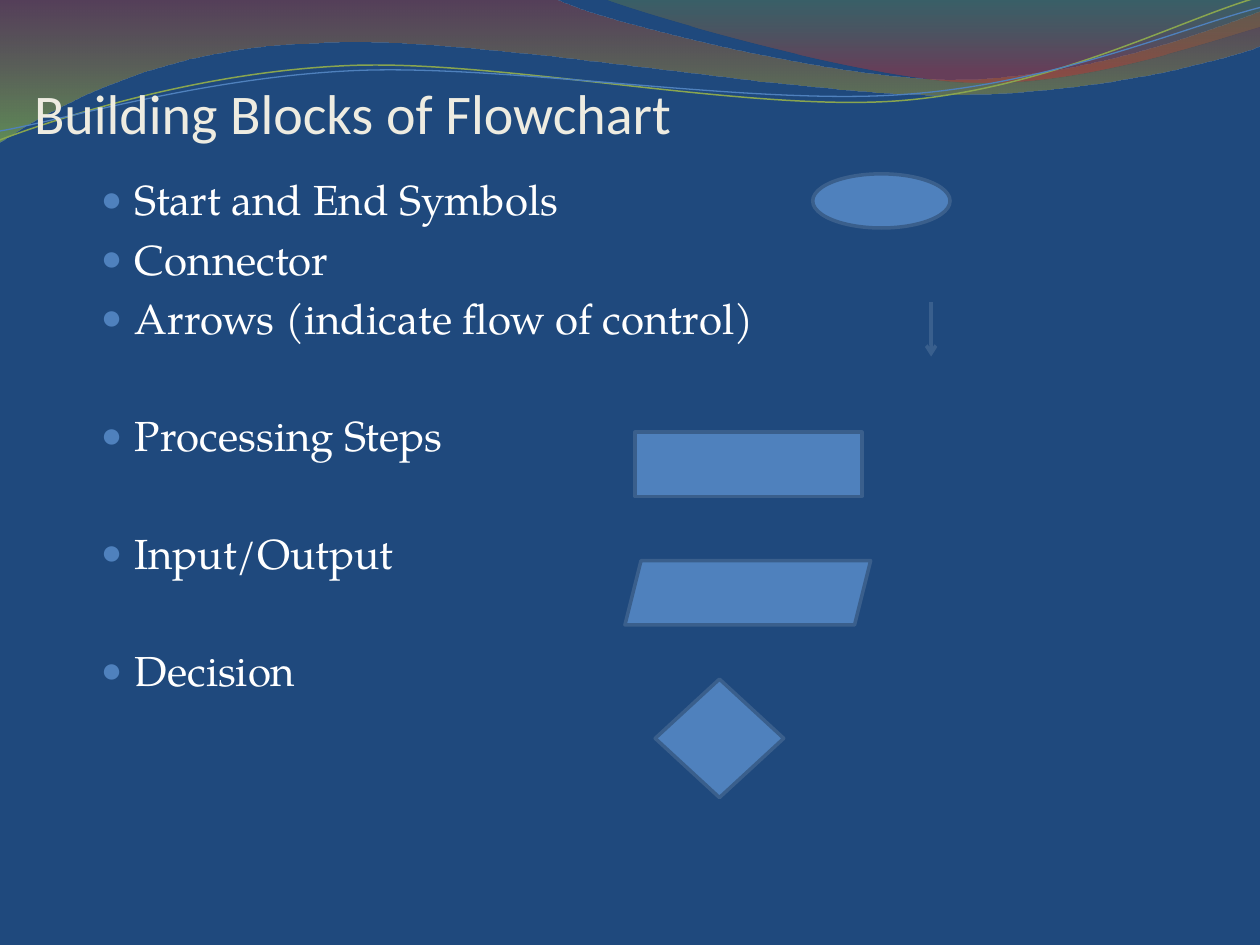
import math

from lxml import etree
from pptx import Presentation
from pptx.dml.color import RGBColor
from pptx.enum import shapes, text
from pptx.oxml import parse_xml
from pptx.oxml.ns import nsdecls, qn
from pptx.util import Inches, Pt

BLUE = "4F81BD"
TILT = 2.7


def color(value):
    return RGBColor.from_string(value)


def draw_curve(start, segments, close, center=(0, 0), tilt=0):
    cosine, sine = math.cos(math.radians(tilt)), math.sin(math.radians(tilt))
    points = [start]
    for segment in segments:
        points.extend(zip(segment[::2], segment[1::2]))
    outline = []
    for x, y in points:
        dx, dy = x - center[0], y - center[1]
        outline.append((Inches(center[0] + dx * cosine - dy * sine),
                        Inches(center[1] + dx * sine + dy * cosine)))
    builder = slide.shapes.build_freeform(*outline[0])
    builder.add_line_segments(outline[1:], close=close)
    shape = builder.convert_to_shape()
    shape.shadow.inherit = False
    shape.rotation = -tilt
    lines = iter(list(shape._element.spPr.iter(qn("a:lnTo"))))
    for segment in segments:
        group = [next(lines) for _ in segment[::2]]
        if len(group) == 3:
            curve = etree.Element(qn("a:cubicBezTo"))
            group[0].addprevious(curve)
            for line in group:
                curve.append(line[0])
                line.getparent().remove(line)
    return shape


presentation = Presentation()
presentation.slide_width = Inches(10)
presentation.slide_height = Inches(7.5)
slide = presentation.slides.add_slide(presentation.slide_layouts[1])
slide.background.fill.solid()
slide.background.fill.fore_color.rgb = color("1F497D")
title, body = slide.placeholders

waves = [
    ((0, 0),
     [(4.4, -0.01), (4.76, 0.17, 6.64, 0.63, 7.58, 0.63),
      (8.53, 0.63, 9.58, 0.26, 10, 0.09), (10.01, 0.36),
      (9.83, 0.44, 8.7, 0.76, 7.46, 0.75), (6.22, 0.75, 3.82, 0.28, 2.57, 0.34),
      (1.29, 0.36, 0.46, 0.83, -0.01, 1.13)],
     [(0, "973330", 45), (100, "95C238", 55)]),
    ((4.79, -0.01),
     [(5.09, 0.11, 6.82, 0.62, 7.69, 0.65), (8.56, 0.69, 9.61, 0.32, 10, 0.21), (10, 0)],
     [(0, "769537", 30), (80, "BE3330", 45)]),
]
for start, segments, stops in waves:
    wave = draw_curve(start, segments, True)
    wave.line.fill.background()
    stop_xml = "".join(
        f'<a:gs pos="{position * 1000}"><a:srgbClr val="{value}">'
        f'<a:alpha val="{opacity * 1000}"/></a:srgbClr></a:gs>'
        for position, value, opacity in stops)
    gradient = parse_xml(
        f'<a:gradFill {nsdecls("a")} rotWithShape="1"><a:gsLst>{stop_xml}</a:gsLst>'
        '<a:lin ang="5400000" scaled="0"/></a:gradFill>')
    wave._element.spPr.find(qn("a:custGeom")).addnext(gradient)

wave_lines = [
    ((0, 1.11),
     [(0.48, 0.93, 1.58, 0.57, 2.77, 0.52), (3.95, 0.47, 5.93, 0.89, 7.13, 0.8),
      (8.33, 0.71, 9.38, 0.15, 9.98, -0.02)], (4.99, 0.58), "89A54F", 0.85),
    ((0, 1.04),
     [(0.47, 0.96, 1.64, 0.61, 2.83, 0.56), (4.03, 0.51, 5.97, 0.84, 7.17, 0.75),
      (8.36, 0.67, 9.41, 0.21, 10, 0.06)], (5, 0.59), BLUE, 0.75),
]
for start, segments, center, value, width in wave_lines:
    wave_line = draw_curve(start, segments, False, center, TILT)
    wave_line.fill.background()
    wave_line.line.color.rgb = color(value)
    wave_line.line.width = Pt(width)

for placeholder, top, height in ((title, 0.33, 0.83), (body, 1.33, 4.8)):
    slide.shapes._spTree.append(placeholder._element)
    placeholder.left, placeholder.top = Inches(0.27), Inches(top)
    placeholder.width, placeholder.height = Inches(9), Inches(height)
    placeholder.text_frame.auto_size = text.MSO_AUTO_SIZE.NONE

title_frame = title.text_frame
title_frame.text = "Building Blocks of Flowchart"
title_frame.vertical_anchor = text.MSO_ANCHOR.BOTTOM
title_frame.margin_left = title_frame.margin_right = title_frame.margin_bottom = 0
title_frame.margin_top = Inches(0.05)
title_frame.paragraphs[0].alignment = text.PP_ALIGN.LEFT
title_font = title_frame.paragraphs[0].runs[0].font
title_font.name, title_font.size = "Calibri", Pt(32)
title_font.color.rgb = color("EEECE1")

items = [
    ("Start and End Symbols", 5), ("Connector", 5),
    ("Arrows (indicate flow of control)", 5),
    ("Processing Steps", 38.4), ("Input/Output", 38.4), ("Decision", 38.4),
]
body.text_frame.text = "\n".join(item for item, gap in items)
for paragraph, (item, gap) in zip(body.text_frame.paragraphs, items):
    paragraph.level = 1
    paragraph.space_before = Pt(gap)
    font = paragraph.runs[0].font
    font.name, font.size = "TeX Gyre Pagella", Pt(24)
    font.color.rgb = color("FFFFFF")
    properties = paragraph._p.get_or_add_pPr()
    properties.set("marL", str(Inches(0.7)))
    properties.set("indent", str(Inches(-0.27)))
    bullet_color = etree.SubElement(properties, qn("a:buClr"))
    etree.SubElement(bullet_color, qn("a:srgbClr"), val=BLUE)
    etree.SubElement(properties, qn("a:buSzPct"), val="85000")
    etree.SubElement(properties, qn("a:buChar"), char="●")

symbols = [
    (shapes.MSO_SHAPE.OVAL, 6.45, 1.38, 1.09, 0.43),
    (shapes.MSO_SHAPE.RECTANGLE, 5.04, 3.43, 1.8, 0.51),
    (shapes.MSO_SHAPE.PARALLELOGRAM, 4.96, 4.45, 1.95, 0.51),
    (shapes.MSO_SHAPE.DIAMOND, 5.2, 5.39, 1.02, 0.94),
]
for kind, *box in symbols:
    symbol = slide.shapes.add_shape(kind, *map(Inches, box))
    symbol.shadow.inherit = False
    symbol.fill.solid()
    symbol.fill.fore_color.rgb = color(BLUE)
    symbol.line.color.rgb = color("3A5F8C")
    symbol.line.width = Pt(2)

arrow = slide.shapes.add_connector(
    shapes.MSO_CONNECTOR.STRAIGHT, Inches(7.39), Inches(2.4), Inches(7.39), Inches(2.83))
arrow.line.color.rgb = color("395F8D")
arrow.line.width = Pt(2)
etree.SubElement(arrow.line._get_or_add_ln(), qn("a:tailEnd"), type="arrow")
etree.SubElement(arrow._element.spPr, qn("a:effectLst"))

presentation.save("out.pptx")
